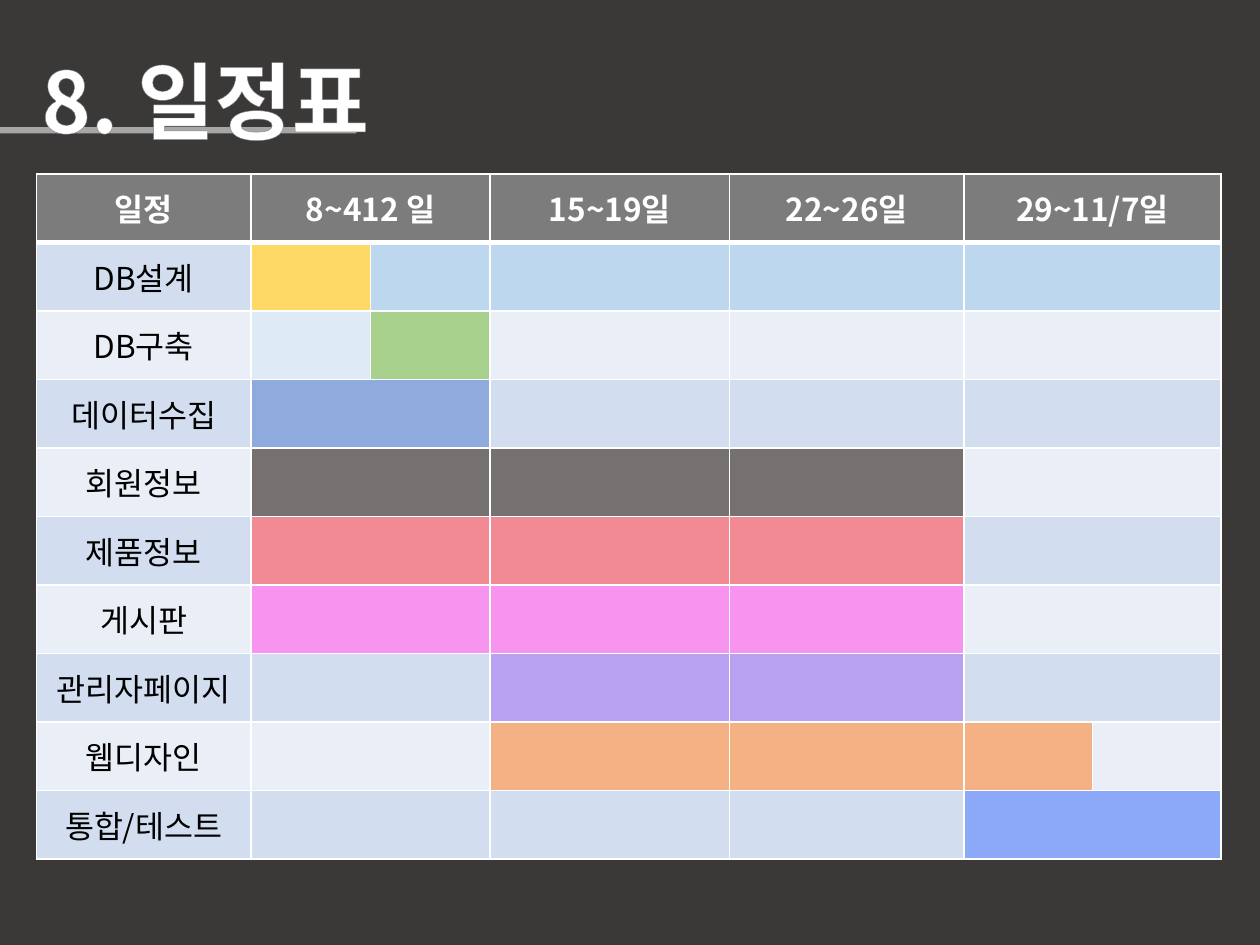
"""Build a project schedule slide with a Gantt-style table."""
import pptx
import pptx.dml.color
import pptx.enum.shapes
import pptx.enum.text
import pptx.oxml
import pptx.oxml.ns
import pptx.util

Inches = pptx.util.Inches
Pt = pptx.util.Pt
FONT = "Noto Sans CJK KR"
HUES = {
    "back": "3B3838", "rule": "A6A6A6", "edge": "808080", "white": "FFFFFF",
    "black": "000000", "head": "7C7C7C", "odd": "D2DEEF", "even": "EAEFF7",
    "sky": "BDD7EE", "pale": "DEEBF7", "gold": "FFD966", "green": "A9D18E",
    "blue": "8FAADC", "gray": "767171", "red": "F28A94", "pink": "F694EF",
    "plum": "B8A1F1", "peach": "F4B183", "royal": "8CA8F8",
}
COLS = (1.7, 0.95, 0.95, 1.9, 1.86, 1.02, 1.02)
PAIRS = ((1, 2), (5, 6))
HEADS = ("일정", "8~412 일", "", "15~19일", "22~26일", "29~11/7일", "")
TASKS = (
    ("DB설계", "gold sky sky sky sky sky"),
    ("DB구축", "pale green even even even even"),
    ("데이터수집", "blue blue odd odd odd odd"),
    ("회원정보", "gray gray gray gray even even"),
    ("제품정보", "red red red red odd odd"),
    ("게시판", "pink pink pink pink even even"),
    ("관리자페이지", "odd odd plum plum odd odd"),
    ("웹디자인", "even even peach peach peach even"),
    ("통합/테스트", "odd odd odd odd royal royal"),
)
TITLE = {"size": Pt(48), "bold": True}
HEAD = {"size": Pt(18), "bold": True}
BODY = {"size": Pt(18), "bold": False}


def hue(name):
    """Return the named colour."""
    return pptx.dml.color.RGBColor.from_string(HUES[name])


def paint(item, name):
    """Give an item a solid fill."""
    item.fill.solid()
    item.fill.fore_color.rgb = hue(name)


def line(tag, width, name):
    """Return an outline element."""
    return pptx.oxml.parse_xml(
        f'<a:{tag} {pptx.oxml.ns.nsdecls("a")} w="{Pt(width)}"><a:solidFill>'
        f'<a:srgbClr val="{HUES[name]}"/></a:solidFill></a:{tag}>')


def write(para, text, style, color):
    """Add a styled run to a paragraph and return it."""
    run = para.add_run()
    run.text = text
    for key, value in style.items():
        setattr(run.font, key, value)
    run.font.color.rgb = hue(color)
    run.font.name = FONT
    run._r.get_or_add_rPr().append(pptx.oxml.parse_xml(
        f'<a:ea {pptx.oxml.ns.nsdecls("a")} typeface="{FONT}"/>'))
    return run


def add_title(slide, left, top, width, height):
    """Place the title over its rule, which starts at the slide edge."""
    rule = slide.shapes.add_shape(
        pptx.enum.shapes.MSO_SHAPE.RECTANGLE, 0, top + Inches(0.67),
        left + Inches(2.6), Inches(0.05))
    rule.shadow.inherit = False
    rule.line.fill.background()
    paint(rule, "rule")
    box = slide.shapes.add_textbox(left, top, width, height)
    box.text_frame.word_wrap = True
    run = write(box.text_frame.paragraphs[0], "8. 일정표", TITLE, "white")
    run._r.get_or_add_rPr().insert(0, line("ln", 0.75, "edge"))


def fill_cell(cell, text, shade, style, color, base):
    """Fill, frame and label one cell."""
    paint(cell, shade)
    cell.vertical_anchor = pptx.enum.text.MSO_ANCHOR.MIDDLE
    props = cell._tc.get_or_add_tcPr()
    sides = (("lnL", 1), ("lnR", 1), ("lnT", 1), ("lnB", base))
    for spot, (tag, width) in enumerate(sides):
        props.insert(spot, line(tag, width, "white"))
    if text:
        para = cell.text_frame.paragraphs[0]
        para.alignment = pptx.enum.text.PP_ALIGN.CENTER
        write(para, text, style, color)


def add_plan(slide, left, top, width, height):
    """Place the schedule table, joining equal half columns."""
    count = len(TASKS) + 1
    grid = slide.shapes.add_table(
        count, len(COLS), left, top, width, height).table
    for col, size in zip(grid.columns, COLS):
        col.width = Inches(size)
    for row in grid.rows:
        row.height = int(height / count)
    rows = [(HEADS, ["head"] * len(COLS), HEAD, "white", 3)]
    for spot, (name, bars) in enumerate(TASKS):
        label = "even" if spot % 2 else "odd"
        texts = [name] + [""] * (len(COLS) - 1)
        rows.append((texts, [label] + bars.split(), BODY, "black", 1))
    for y, (texts, shades, style, color, base) in enumerate(rows):
        for x, (text, shade) in enumerate(zip(texts, shades)):
            fill_cell(grid.cell(y, x), text, shade, style, color, base)
        for a, b in PAIRS:
            if shades[a] == shades[b]:
                grid.cell(y, a).merge(grid.cell(y, b))


def main():
    """Build and save the slide."""
    deck = pptx.Presentation()
    deck.slide_width, deck.slide_height = Inches(10), Inches(7.5)
    slide = deck.slides.add_slide(deck.slide_layouts[6])
    paint(slide.background, "back")
    add_title(slide, Inches(0.23), Inches(0.34), Inches(3.28), Inches(0.91))
    add_plan(slide, Inches(0.29), Inches(1.38), Inches(9.4), Inches(5.44))
    deck.save("out.pptx")


if __name__ == "__main__":
    main()
